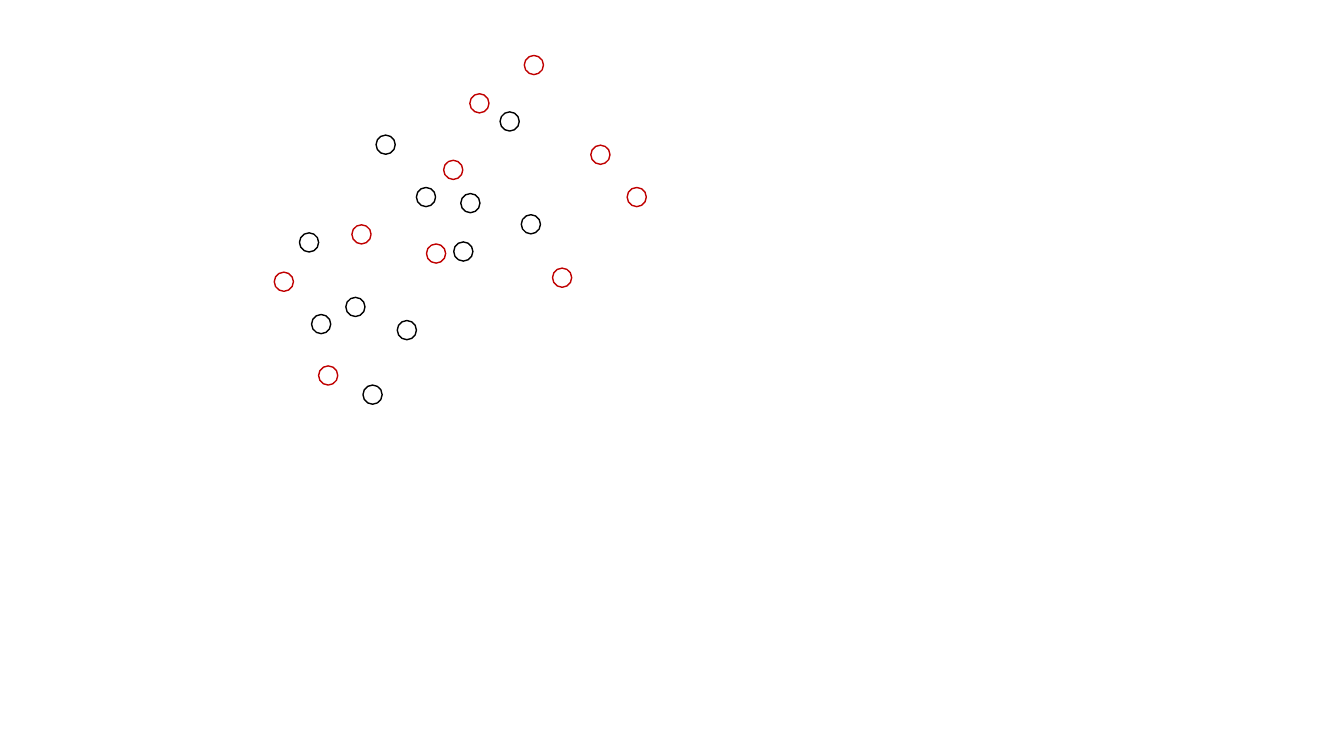
from pptx import Presentation
from pptx import util as u
from pptx.dml import color
from pptx.enum import shapes

GRID = u.Inches(0.01)
DIAMETER = 19
SCATTER_BOX = (272, 55)

BLACK_POINTS = [
    (101, 79), (141, 131), (245, 158), (25, 176), (224, 56), (178, 185),
    (71, 240), (185, 137), (37, 257), (122, 263), (88, 327),
]
RED_POINTS = [
    (44, 308), (168, 104), (0, 215), (314, 89), (151, 187),
    (350, 131), (77, 168), (276, 211), (248, 0), (194, 38),
]


def rgb(value):
    return color.RGBColor.from_string(value)


def add_point(slide, column, row, outline):
    point = slide.shapes.add_shape(
        shapes.MSO_SHAPE.OVAL,
        column * GRID, row * GRID, DIAMETER * GRID, DIAMETER * GRID,
    )
    point.shadow.inherit = False
    point.fill.solid()
    point.fill.fore_color.rgb = rgb("FFFFFF")
    point.line.color.rgb = rgb(outline)
    point.line.width = u.Pt(1)


def add_scatter(slide, box, groups):
    left, top = box
    for outline, points in groups:
        for column, row in points:
            add_point(slide, left + column, top + row, outline)


deck = Presentation()
deck.slide_width = u.Inches(13.33)
deck.slide_height = u.Inches(7.5)
blank_layout = deck.slide_layouts.get_by_name("Blank")
scatter_slide = deck.slides.add_slide(blank_layout)
add_scatter(scatter_slide, SCATTER_BOX, [("000000", BLACK_POINTS), ("C00000", RED_POINTS)])
deck.save("out.pptx")
